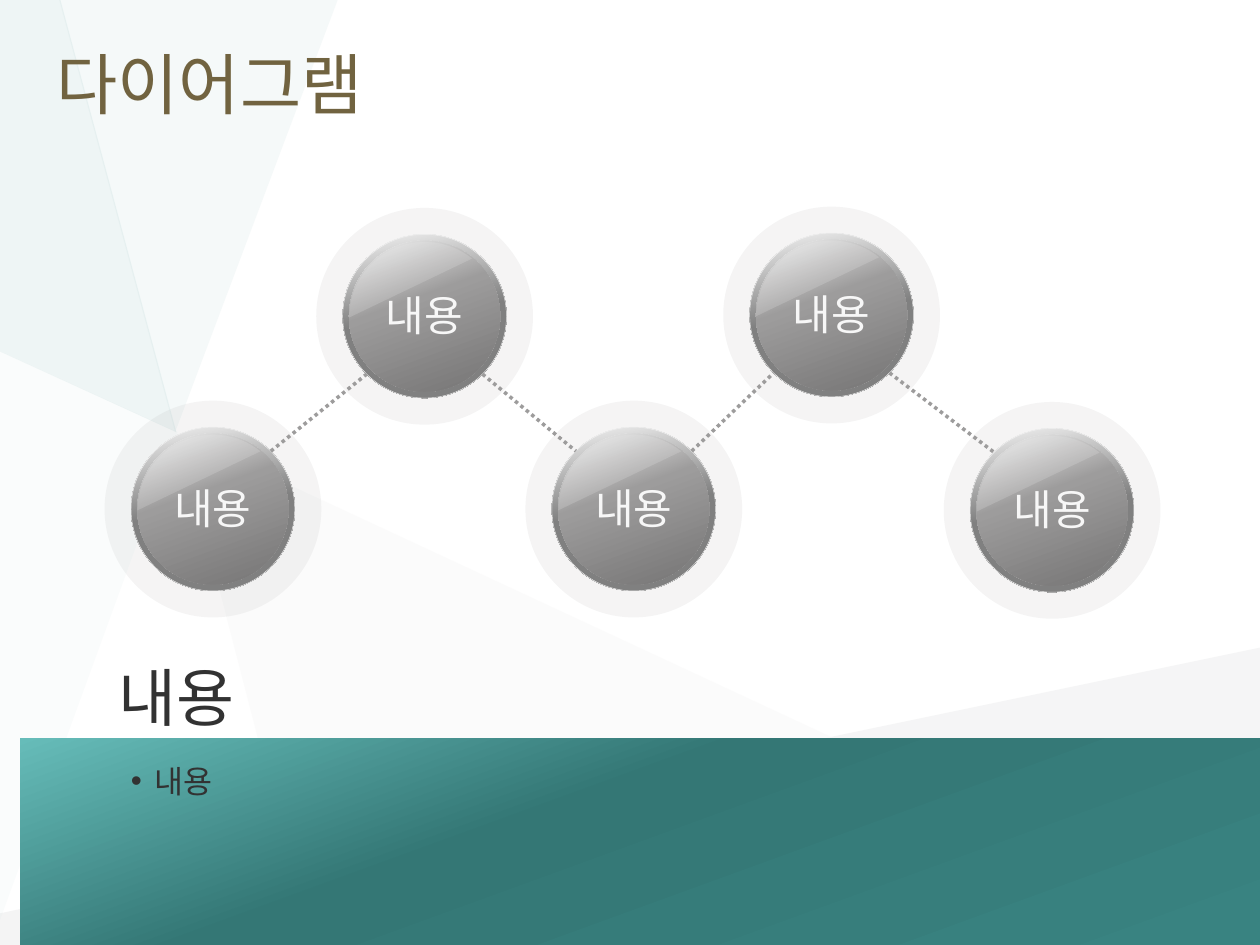
import itertools
import math

import pptx
import pptx.dml.color
import pptx.enum.dml
import pptx.enum.shapes
import pptx.enum.text
import pptx.oxml.ns
import pptx.oxml.xmlchemy
import pptx.util
from lxml import etree

Inches = pptx.util.Inches
Pt = pptx.util.Pt
qn = pptx.oxml.ns.qn
Shapes = pptx.enum.shapes.MSO_SHAPE
Align = pptx.enum.text.PP_ALIGN
Anchor = pptx.enum.text.MSO_ANCHOR

BACKDROP = [
    ("F3F2F2", 26, [(1.42, 3.44), (2.28, 6.76), (6.6, 5.85)]),
    ("B6B8BA", 15, [(2.28, 6.76), (0, 7.25), (0, 7.5), (2.53, 7.5)]),
    ("E0EDED", 31, [(2.68, 0), (0.47, 0), (1.39, 3.43)]),
    ("C6C8CA", 17, [(10, 5.14), (6.59, 5.85), (10, 7.3)]),
    ("B6B8BA", 6, [(6.59, 5.85), (2.28, 6.76), (2.53, 7.5), (10, 7.5), (10, 7.29)]),
    ("C1DBDB", 27, [(0.48, 0), (0, 0), (0, 2.79), (1.4, 3.43)]),
    ("C1DBDB", 8, [(0, 2.79), (0, 7.3), (1.41, 3.43)]),
]
NODE_CENTRES = [(1.69, 4.04), (3.37, 2.51), (5.03, 4.04), (6.6, 2.5), (8.35, 4.05)]
HALO_SIZE, RIM_SIZE, FACE_SIZE = 1.72, 1.3, 1.2
RIM_STOPS = [(0, "F2F2F2"), (50, "808080"), (100, "808080")]
FACE_STOPS = [(0, "F5F5F5"), (40, "9D9C9C"), (100, "767575")]
BAND_STOPS = [(0, "66BCB9"), (40, "347775"), (100, "398381")]


def color(value):
    """Return the colour for a hex string."""
    return pptx.dml.color.RGBColor.from_string(value)


class DiagramSlide:
    """Holds the text style and the current slide."""

    font = "Arial"
    text_color = "323232"

    def __init__(self, slide):
        """Keep the slide that is being filled."""
        self.slide = slide

    def paint(self, shape, fill, alpha=100):
        """Give a shape a plain fill, without outline or shadow."""
        shape.shadow.inherit = False
        shape.line.fill.background()
        shape.fill.solid()
        shape.fill.fore_color.rgb = color(fill)
        if alpha < 100:
            fill_color = shape._element.spPr.find(qn("a:solidFill"))[0]
            etree.SubElement(fill_color, qn("a:alpha"), val=str(alpha * 1000))

    def polygon(self, points, fill, alpha):
        """Add a filled outline through the points."""
        corners = [(Inches(x), Inches(y)) for x, y in points]
        builder = self.slide.shapes.build_freeform(*corners[0])
        builder.add_line_segments(corners[1:], close=True)
        self.paint(builder.convert_to_shape(), fill, alpha)

    def shape(self, kind, left, top, width, height, fill, alpha=100):
        """Add a preset shape with a plain fill."""
        shape = self.slide.shapes.add_shape(
            kind, Inches(left), Inches(top), Inches(width), Inches(height))
        self.paint(shape, fill, alpha)
        return shape

    def circle(self, center, size, fill, alpha=100, kind=Shapes.OVAL):
        """Add a round shape about a centre."""
        x, y = center
        return self.shape(kind, x - size / 2, y - size / 2, size, size, fill, alpha)

    def gradient(self, shape, stops, angle):
        """Fill a shape with a linear gradient, angle clockwise."""
        shape.fill.gradient()
        shape.fill.gradient_angle = 360 - angle
        stop_list = shape._element.spPr.find(".//" + qn("a:gsLst"))
        for stop in list(stop_list):
            stop_list.remove(stop)
        for position, value in stops:
            stop = etree.SubElement(stop_list, qn("a:gs"), pos=str(position * 1000))
            etree.SubElement(stop, qn("a:srgbClr"), val=value)

    def text(self, content, left, top, width, height, size, fill=text_color,
             align=Align.LEFT, anchor=Anchor.TOP, inset=True, bullet=False):
        """Add a text box with one paragraph."""
        box = self.slide.shapes.add_textbox(
            Inches(left), Inches(top), Inches(width), Inches(height))
        frame = box.text_frame
        frame.word_wrap = True
        frame.vertical_anchor = anchor
        if not inset:
            frame.margin_left = frame.margin_right = 0
            frame.margin_top = frame.margin_bottom = 0
        frame.text = content
        paragraph = frame.paragraphs[0]
        paragraph.alignment = align
        if bullet:
            properties = paragraph._p.get_or_add_pPr()
            properties.set("marL", str(Inches(0.19)))
            properties.set("indent", str(-Inches(0.19)))
            etree.SubElement(properties, qn("a:buFont"), typeface=self.font)
            etree.SubElement(properties, qn("a:buChar"), char="•")
        font = paragraph.runs[0].font
        font.name = self.font
        font.size = Pt(size)
        font.color.rgb = color(fill)

    def node(self, center, label):
        """Add a glossy button with a halo and a label."""
        x, y = center
        self.circle(center, HALO_SIZE, "9D9C9C", 10)
        rim = self.circle(center, RIM_SIZE, "808080")
        self.gradient(rim, RIM_STOPS, 80)
        rim.line.color.rgb = color("F2F2F2")
        rim.line.width = Pt(0.25)
        face = self.circle(center, FACE_SIZE, "9D9C9C")
        self.gradient(face, FACE_STOPS, 70)
        gloss = self.circle((x, y + 0.01), FACE_SIZE, "EBEBEB", 20, Shapes.CHORD)
        gloss.rotation = 90
        gloss.adjustments[0] = 53.946
        gloss.adjustments[1] = 131.298
        self.text(label, x - 0.58, y - 0.26, 1.16, 0.5, 24, "F7F7F7", Align.CENTER)

    def link(self, start, end):
        """Add a dotted line between the rims of two nodes."""
        reach = RIM_SIZE / 2 * math.sqrt(0.5)
        rise = math.copysign(reach, end[1] - start[1])
        connector = self.slide.shapes.add_connector(
            pptx.enum.shapes.MSO_CONNECTOR.STRAIGHT,
            Inches(start[0] + reach), Inches(start[1] + rise),
            Inches(end[0] - reach), Inches(end[1] - rise))
        connector.line.color.rgb = color("9D9C9C")
        connector.line.width = Pt(2)
        connector.line.dash_style = pptx.enum.dml.MSO_LINE.ROUND_DOT
        etree.SubElement(connector._element.spPr, qn("a:effectLst"))


def main():
    """Build the slide and save it."""
    presentation = pptx.Presentation()
    presentation.slide_width = Inches(10)
    presentation.slide_height = Inches(7.5)
    diagram = DiagramSlide(presentation.slides.add_slide(presentation.slide_layouts[6]))

    for fill, alpha, points in BACKDROP:
        diagram.polygon(points, fill, alpha)
    diagram.text("다이어그램", 0.35, 0.14, 9.27, 1.03, 38, "716340", anchor=Anchor.MIDDLE)
    band = diagram.shape(Shapes.RECTANGLE, 0.16, 5.86, 9.84, 1.64, "347775")
    diagram.gradient(band, BAND_STOPS, 70)

    for center in NODE_CENTRES:
        diagram.node(center, "내용")
    for start, end in itertools.pairwise(NODE_CENTRES):
        diagram.link(start, end)

    diagram.text("내용", 0.94, 6, 7.96, 1.3, 18, bullet=True)
    diagram.text("내용", 0.94, 5.23, 8.12, 0.6, 36, anchor=Anchor.BOTTOM, inset=False)
    presentation.save("out.pptx")


if __name__ == "__main__":
    main()
